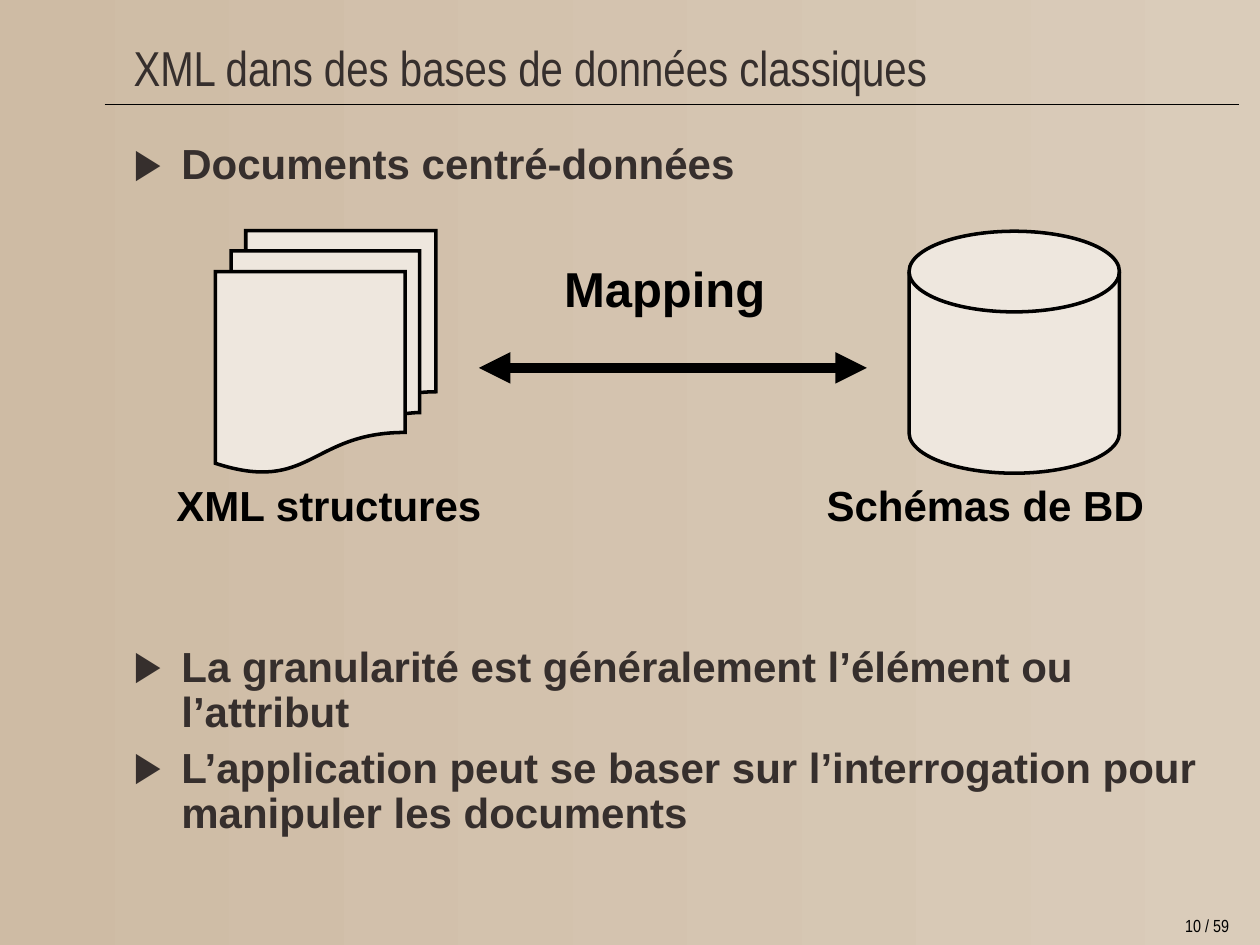
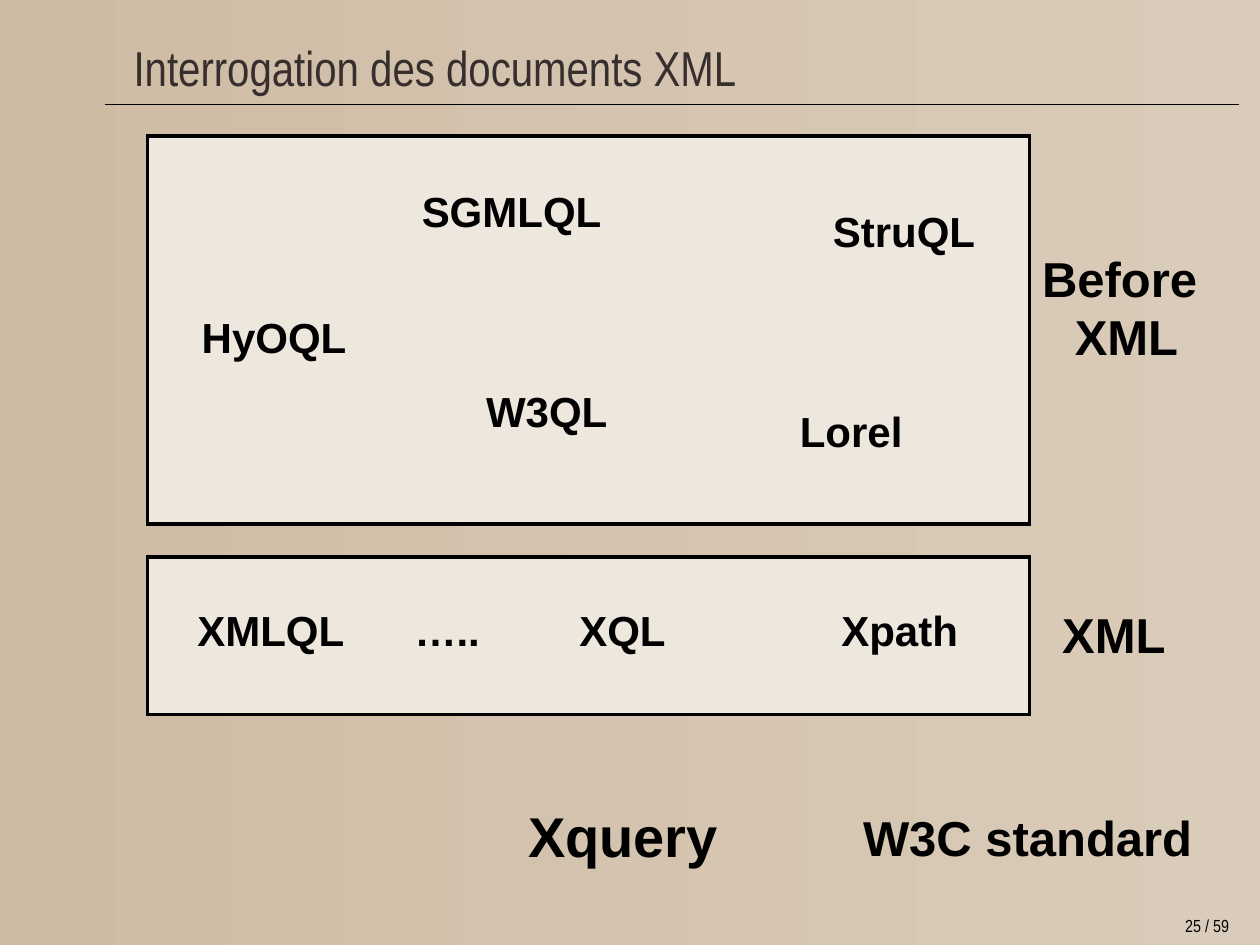
from lxml import etree
from pptx import Presentation
from pptx.dml.color import RGBColor
from pptx.enum.shapes import MSO_CONNECTOR, MSO_SHAPE
from pptx.enum.text import MSO_ANCHOR, MSO_AUTO_SIZE, PP_ALIGN
from pptx.oxml.ns import qn
from pptx.util import Inches, Pt

LEFT, CENTER = PP_ALIGN.LEFT, PP_ALIGN.CENTER
MIDDLE = MSO_ANCHOR.MIDDLE
FIT_SHAPE, NO_FIT = MSO_AUTO_SIZE.SHAPE_TO_FIT_TEXT, MSO_AUTO_SIZE.NONE
STRAIGHT = MSO_CONNECTOR.STRAIGHT
RECTANGLE = MSO_SHAPE.RECTANGLE
DOCUMENTS = MSO_SHAPE.FLOWCHART_MULTIDOCUMENT
DRUM = MSO_SHAPE.FLOWCHART_DIRECT_ACCESS_STORAGE

LAYOUT_CONTENT, LAYOUT_TITLE_ONLY = 1, 5
PAGE_COUNT = 59


def color(hex_string):
    return RGBColor.from_string(hex_string)


def place(shape, left, top, width, height):
    shape.left, shape.top = Inches(left), Inches(top)
    shape.width, shape.height = Inches(width), Inches(height)


class SlideBuilder:
    """Holds the deck style and the slide (or group) that receives shapes."""

    INK, BLACK, PANEL = "362F2D", "000000", "EEE7DE"
    BACKGROUND = ("CEBBA4", "DACCBA")
    FONT, NARROW = "Arial", "Arial Narrow"
    CONTENT_LEFT, CONTENT_WIDTH = 0.96, 8.88
    BULLET_INDENT = 0.38
    LABEL_INSET = 0.05

    def __init__(self):
        self.deck = Presentation()
        self.deck.slide_width, self.deck.slide_height = Inches(10), Inches(7.5)
        fill = self.deck.slide_master.background.fill
        fill.gradient()
        fill.gradient_angle = 0
        for position, (stop, shade) in enumerate(zip(fill.gradient_stops, self.BACKGROUND)):
            stop.position = position
            stop.color.rgb = color(shade)

    def start_slide(self, layout, title, page):
        self.slide = self.deck.slides.add_slide(self.deck.slide_layouts[layout])
        self.shapes = self.slide.shapes
        self.line((0.83, 0.83), (9.83, 0.83), 0.75)
        self.label(f"{page} / {PAGE_COUNT}", 9.11, 7.21, 0.94, 0.27, 10, self.NARROW, bold=False)
        box = self.slide.shapes.title
        place(box, self.CONTENT_LEFT, 0.16, self.CONTENT_WIDTH, 0.75)
        frame = box.text_frame
        frame.text = title
        frame.auto_size, frame.vertical_anchor = NO_FIT, MIDDLE
        frame.paragraphs[0].alignment = LEFT
        self.style(frame.paragraphs[0], 28, self.NARROW, self.INK, False)

    def start_group(self):
        """Send the shapes that follow into a new group."""
        self.shapes = self.slide.shapes.add_group_shape().shapes

    def style(self, para, size, font, ink, bold):
        for span in para.runs:
            span.font.size, span.font.name, span.font.bold = Pt(size), font, bold
            span.font.color.rgb = color(ink)

    def bullets(self, items):
        """Fill the body with (text, points of space before) items."""
        body = self.slide.placeholders[1]
        place(body, self.CONTENT_LEFT, 1.09, self.CONTENT_WIDTH, 6)
        frame = body.text_frame
        frame.text = "\n".join(text for text, space in items)
        frame.auto_size = NO_FIT
        for para, (text, space) in zip(frame.paragraphs, items):
            para.line_spacing, para.space_before = 0.9, Pt(space)
            self.style(para, 24, self.FONT, self.INK, True)
            properties = para._p.get_or_add_pPr()
            properties.set("marL", str(Inches(self.BULLET_INDENT)))
            properties.set("indent", str(-Inches(self.BULLET_INDENT)))
            tint = etree.SubElement(properties, qn("a:buClr"))
            etree.SubElement(tint, qn("a:srgbClr"), val=self.INK)
            etree.SubElement(properties, qn("a:buChar"), char="▶")

    def label(self, text, left, top, width, height=0.49, size=24, font=FONT,
              bold=True, align=CENTER, line_spacing=None, space_before=None):
        box = self.shapes.add_textbox(Inches(left), Inches(top), Inches(width), Inches(height))
        frame = box.text_frame
        frame.text = text
        frame.word_wrap, frame.auto_size = False, FIT_SHAPE
        frame.margin_left = frame.margin_right = Inches(self.LABEL_INSET)
        for para in frame.paragraphs:
            para.alignment = align
            para.line_spacing, para.space_before = line_spacing, space_before
            self.style(para, size, font, self.BLACK, bold)

    def caption(self, text, left, width):
        self.label(text, left, 3.66, width, 0.6, align=LEFT, line_spacing=1.25, space_before=Pt(3))

    def panel(self, kind, left, top, width, height, rotation=0):
        shape = self.shapes.add_shape(kind, Inches(left), Inches(top), Inches(width), Inches(height))
        shape.rotation = rotation
        shape.shadow.inherit = False
        shape.fill.solid()
        shape.fill.fore_color.rgb = color(self.PANEL)
        shape.line.color.rgb = color(self.BLACK)
        shape.line.width = Pt(2)
        outline = shape._element.spPr.find(qn("a:ln"))
        etree.SubElement(outline, qn("a:miter"), lim="800000")

    def line(self, start, end, weight, arrows=False):
        ends = [Inches(value) for value in (*start, *end)]
        connector = self.shapes.add_connector(STRAIGHT, *ends)
        connector.line.color.rgb = color(self.BLACK)
        connector.line.width = Pt(weight)
        properties = connector._element.spPr
        if arrows:
            for tip in ("a:headEnd", "a:tailEnd"):
                etree.SubElement(properties.find(qn("a:ln")), qn(tip), type="triangle")
        etree.SubElement(properties, qn("a:effectLst"))


def build_mapping_slide(builder):
    builder.start_slide(LAYOUT_CONTENT, "XML dans des bases de données classiques", 10)
    diagram_gap = 261
    builder.bullets([
        ("Documents centré-données", 6),
        ("La granularité est généralement l’élément ou l’attribut", diagram_gap),
        ("L’application peut se baser sur l’interrogation pour manipuler les documents", 6),
    ])
    builder.panel(DOCUMENTS, 1.71, 1.83, 1.75, 1.92)
    builder.caption("XML structures", 1.35, 2.52)
    builder.caption("Schémas de BD", 6.51, 2.62)
    builder.panel(DRUM, 7.09, 1.96, 1.92, 1.67, rotation=270)
    builder.line((3.8, 2.92), (6.88, 2.92), 6, arrows=True)
    builder.label("Mapping", 4.38, 2, 1.79, 0.56, 28)


def build_languages_slide(builder):
    builder.start_slide(LAYOUT_TITLE_ONLY, "Interrogation des documents XML", 25)
    panel_left, panel_width = 1.17, 7

    builder.start_group()
    builder.panel(RECTANGLE, panel_left, 1.08, panel_width, 3.08)
    for name, left, top, width in (
        ("Lorel", 6.25, 3.17, 1.01),
        ("HyOQL", 1.5, 2.42, 1.35),
        ("SGMLQL", 3.25, 1.42, 1.62),
        ("StruQL", 6.51, 1.58, 1.33),
        ("W3QL", 3.76, 3.01, 1.16),
    ):
        builder.label(name, left, top, width)
    builder.label("Before \nXML", 8.17, 1.92, 1.54, 1.03, 28)

    builder.start_group()
    builder.panel(RECTANGLE, panel_left, 4.42, panel_width, 1.25)
    builder.label("XML", 8.33, 4.75, 1.02, 0.56, 28)
    for name, left, width in (
        ("XMLQL", 1.47, 1.36),
        ("…..", 3.2, 0.7),
        ("XQL", 4.5, 0.88),
        ("Xpath", 6.58, 1.12),
    ):
        builder.label(name, left, 4.75, width)

    builder.start_group()
    builder.label("Xquery", 4.09, 6.31, 1.71, 0.63, 32)
    builder.label("W3C standard", 6.75, 6.36, 2.81, 0.56, 28)


def main():
    builder = SlideBuilder()
    build_mapping_slide(builder)
    build_languages_slide(builder)
    builder.deck.save("out.pptx")


if __name__ == "__main__":
    main()
